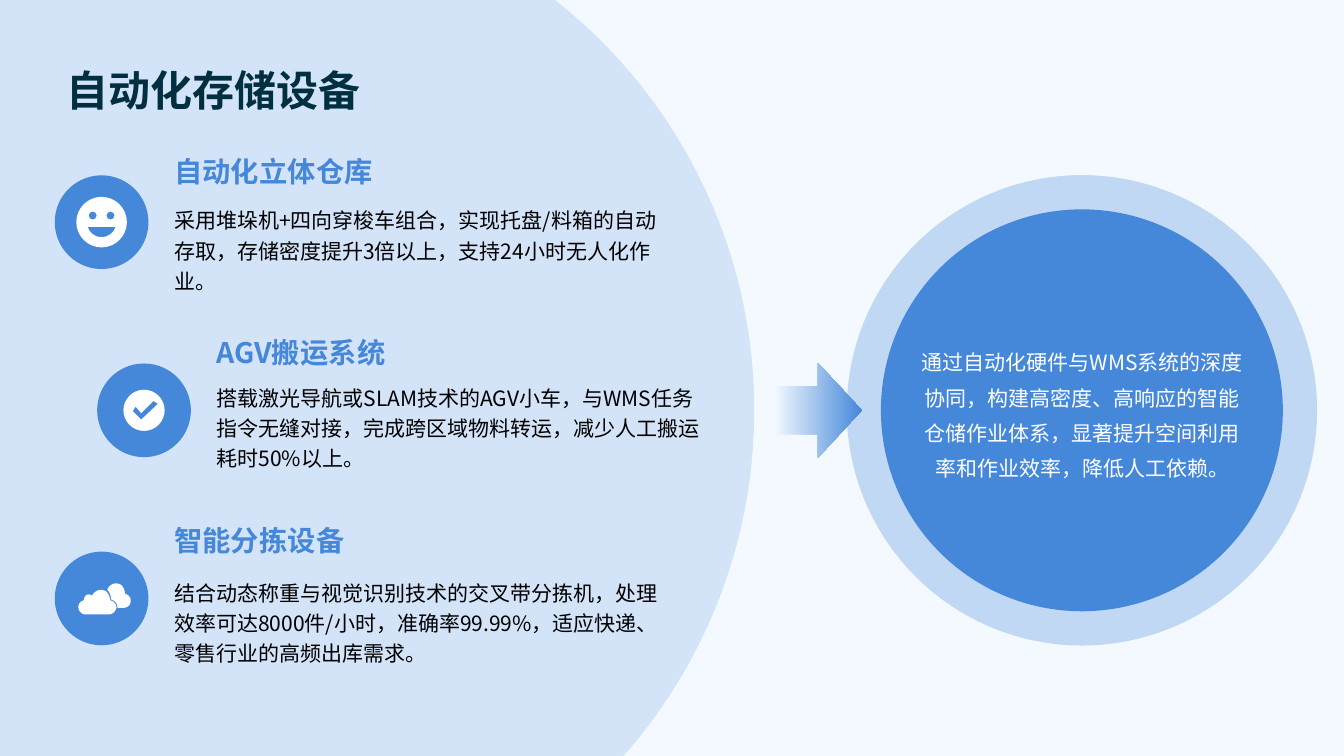
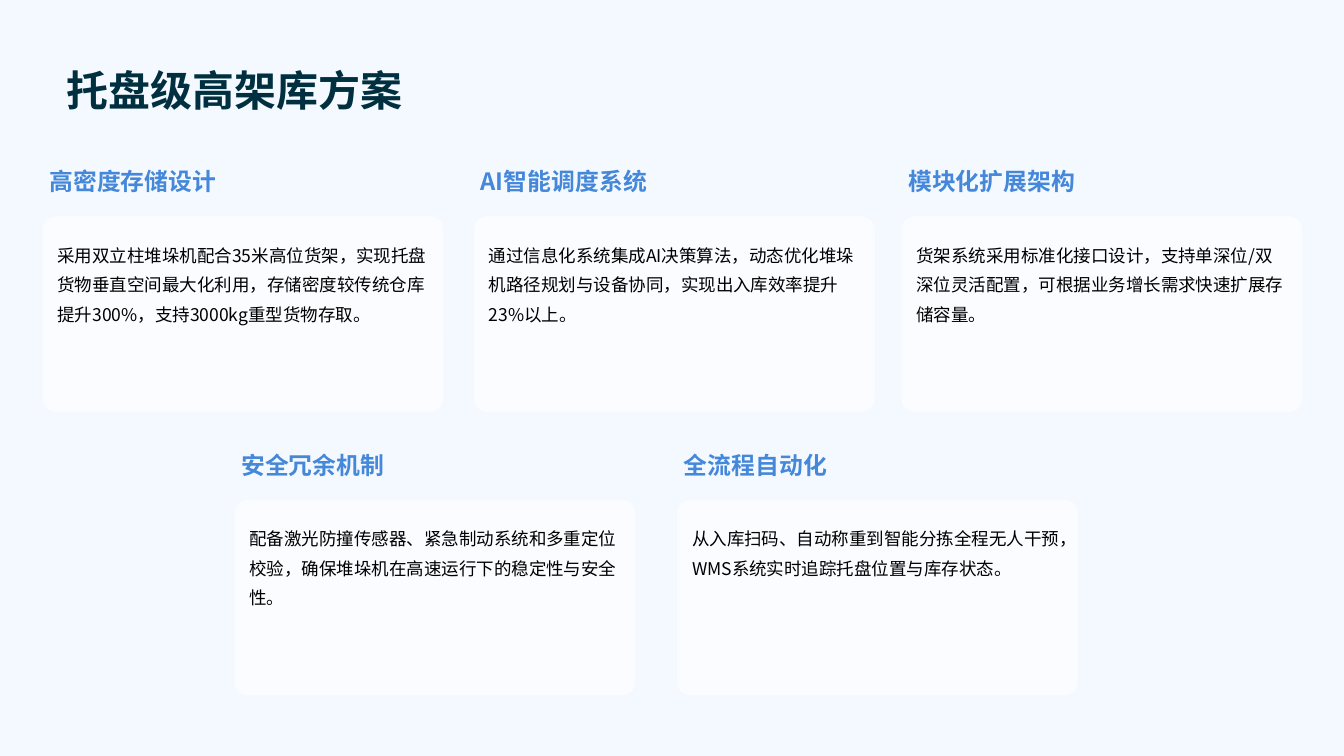
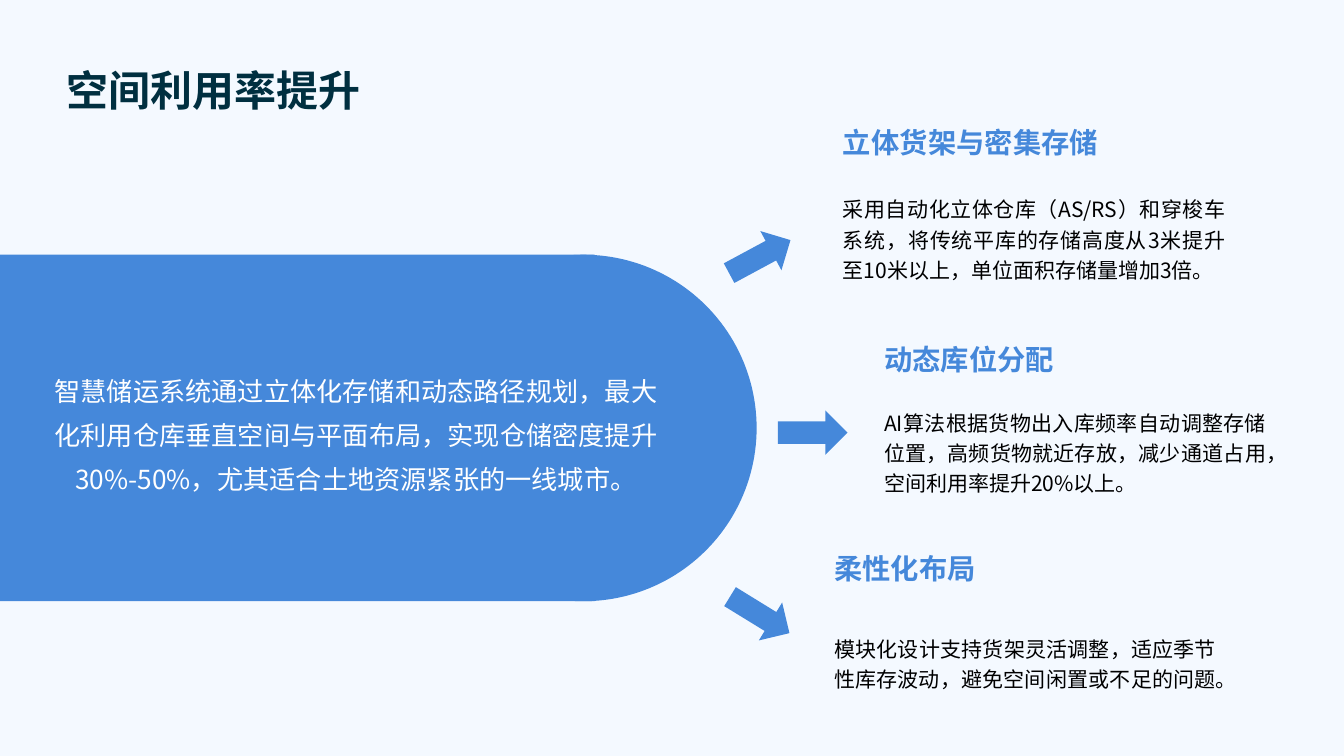
from dataclasses import dataclass

from lxml import etree
from pptx import Presentation
from pptx.dml.color import RGBColor
from pptx.enum.shapes import MSO_SHAPE
from pptx.enum.text import MSO_ANCHOR, PP_ALIGN
from pptx.oxml.ns import qn
from pptx.util import Emu, Pt

CELL = 381000
COLUMNS, ROWS = 32, 18
KAPPA = 0.55
OVAL = MSO_SHAPE.OVAL
ROUNDED = MSO_SHAPE.ROUNDED_RECTANGLE
LEFT_ARROW, RIGHT_ARROW = MSO_SHAPE.LEFT_ARROW, MSO_SHAPE.RIGHT_ARROW
TOP, MIDDLE = MSO_ANCHOR.TOP, MSO_ANCHOR.MIDDLE
LEFT, CENTER, JUSTIFY = PP_ALIGN.LEFT, PP_ALIGN.CENTER, PP_ALIGN.JUSTIFY


@dataclass(frozen=True)
class TextStyle:
    """Look of one kind of text, with insets in grid cells."""
    size: float
    color: str
    bold: bool = False
    line_spacing: float = 1.0
    space_before: float = 0
    align: PP_ALIGN = LEFT
    anchor: MSO_ANCHOR = TOP
    insets: tuple = (0.29, 0.14, 0.29, 0.14)


class Theme:
    """Colours and type styles shared by all slides."""
    font = "Noto Sans CJK SC"
    background, accent, white = "F4F9FF", "4588DA", "FFFFFF"
    black, navy = "000000", "002F40"
    title = TextStyle(30, navy, True, 1.4, anchor=MIDDLE,
                      insets=(0.34, 0.34, 0.14, 0.34))
    heading = TextStyle(20.25, accent, True, 0.77)
    body = TextStyle(15, black, line_spacing=1.2)
    justified = TextStyle(15, black, line_spacing=1.2, align=JUSTIFY, anchor=MIDDLE)
    message = TextStyle(15, white, line_spacing=1.4, align=CENTER, anchor=MIDDLE)
    large_message = TextStyle(18.75, white, line_spacing=1.4, align=CENTER,
                              anchor=MIDDLE)
    card_heading = TextStyle(17, accent, True, space_before=3.8,
                             insets=(0.24, 0.12, 0.24, 0.12))
    card_body = TextStyle(12.5, black, line_spacing=1.4,
                          insets=(0.17, 0.1, 0.17, 0.1))


def cells(*values):
    return [Emu(round(value * CELL)) for value in values]


def ring(center_x, center_y, radius):
    corners = [(1, 0), (0, 1), (-1, 0), (0, -1), (1, 0)]

    def place(x, y):
        return center_x + radius * x, center_y + radius * y

    return [place(1, 0)] + [
        (place(x1 + KAPPA * x2, y1 + KAPPA * y2),
         place(x2 + KAPPA * x1, y2 + KAPPA * y1), place(x2, y2))
        for (x1, y1), (x2, y2) in zip(corners, corners[1:])]


SMILE = [ring(0, 0, 27), ring(-9.5, -7, 4.3), ring(9.5, -7, 4.3),
         [(15, 5), ((-15, 5),), ((-13, 11), (-8, 16), (0, 16)),
          ((8, 16), (13, 11), (15, 5))]]
CHECK = [ring(0, 0, 22),
         [(-3, 10), ((-12, 1),), ((-9, -4),), ((-3, 3),), ((10, -10),), ((15, -7),)]]
CLOUDS = [
    [(9, 2), ((9, 2), (9, -8), (1, -9)), ((-8, -10), (-10, -3), (-10, -3)),
     ((-10, -3), (-12, -5), (-16, -4)), ((-19, -2), (-19, 2), (-19, 2)),
     ((-19, 2), (-25, 3), (-25, 9)), ((-24, 17), (-18, 17), (-18, 17)),
     ((8, 17),), ((8, 17), (14, 17), (16, 10)), ((16, 3), (9, 2), (9, 2))],
    [(25, -5), ((25, -5), (25, -15), (17, -16)), ((8, -17), (6, -9), (6, -9)),
     ((6, -9), (10, -7), (10, 1)), ((13, 2), (17, 4), (17, 10)),
     ((24, 10),), ((24, 10), (30, 10), (31, 4)), ((32, -4), (25, -5), (25, -5))],
]


def bend(shape, contours):
    lines = iter(list(shape._element.iter(qn("a:lnTo"))))
    for _, *segments in contours:
        for segment in segments:
            parts = [next(lines) for _ in segment]
            if len(parts) == 3:
                curve = etree.Element(qn("a:cubicBezTo"))
                parts[0].addprevious(curve)
                for part in parts:
                    curve.append(part[0])
                    part.getparent().remove(part)


class Deck:
    """Builds slides on a grid of 32 by 18 square cells."""

    badge_size = 2.23

    def __init__(self):
        self.presentation = Presentation()
        self.presentation.slide_width, self.presentation.slide_height = cells(
            COLUMNS, ROWS)
        self.slide = None

    def new_slide(self):
        self.slide = self.presentation.slides.add_slide(
            self.presentation.slide_layouts[6])
        fill = self.slide.background.fill
        fill.solid()
        fill.fore_color.rgb = RGBColor.from_string(Theme.background)

    def title(self, content):
        self.text(content, 1.25, 0.7, 29.5, 2.4, Theme.title)

    def paint(self, shape, color, opacity=100):
        shape.shadow.inherit = False
        shape.line.fill.background()
        shape.fill.solid()
        shape.fill.fore_color.rgb = RGBColor.from_string(color)
        if opacity < 100:
            color_element = shape._element.spPr.find(".//" + qn("a:srgbClr"))
            etree.SubElement(color_element, qn("a:alpha")).set(
                "val", str(opacity * 1000))

    def shape(self, kind, left, top, width, height, color=Theme.accent, opacity=100):
        shape = self.slide.shapes.add_shape(kind, *cells(left, top, width, height))
        self.paint(shape, color, opacity)
        return shape

    def panel(self, left, top, width, height, rounding, color, opacity=100):
        panel = self.shape(ROUNDED, left, top, width, height, color, opacity)
        panel.adjustments[0] = rounding

    def circle(self, center_x, center_y, diameter, opacity=100):
        self.shape(OVAL, center_x - diameter / 2, center_y - diameter / 2,
                   diameter, diameter, opacity=opacity)

    def badge(self, center_x, center_y, contours):
        self.circle(center_x, center_y, self.badge_size)
        unit = self.badge_size / 100

        def place(point):
            return cells(center_x + point[0] * unit, center_y + point[1] * unit)

        builder = self.slide.shapes.build_freeform(*place(contours[0][0]))
        for index, (start, *segments) in enumerate(contours):
            if index:
                builder.move_to(*place(start))
            builder.add_line_segments(
                [place(point) for segment in segments for point in segment], close=True)
        icon = builder.convert_to_shape()
        bend(icon, contours)
        self.paint(icon, Theme.white)

    def arrow(self, left, top, rotation):
        self.shape(LEFT_ARROW, left, top, 1.66, 1.06).rotation = rotation

    def fading_arrow(self, left, top, width, height):
        fill = self.shape(RIGHT_ARROW, left, top, width, height).fill
        fill.gradient()
        fill.gradient_angle = 0
        for stop, color in zip(fill.gradient_stops, (Theme.background, Theme.accent)):
            stop.color.rgb = RGBColor.from_string(color)

    def text(self, content, left, top, width, height, style):
        box = self.slide.shapes.add_textbox(*cells(left, top, width, height))
        frame = box.text_frame
        frame.word_wrap = True
        frame.vertical_anchor = style.anchor
        (frame.margin_left, frame.margin_top,
         frame.margin_right, frame.margin_bottom) = cells(*style.insets)
        paragraph = frame.paragraphs[0]
        paragraph.text = content
        paragraph.alignment = style.align
        paragraph.line_spacing = style.line_spacing
        if style.space_before:
            paragraph.space_before = Pt(style.space_before)
        font = paragraph.font
        font.size = Pt(style.size)
        font.bold = style.bold
        font.color.rgb = RGBColor.from_string(style.color)
        font.name = Theme.font
        etree.SubElement(font._element, qn("a:ea")).set("typeface", Theme.font)

    def entry(self, left, heading_top, heading, body_top, body, size, style):
        self.text(body, left, body_top, *size, style)
        self.text(heading, left, heading_top, 9.26, 1.08, Theme.heading)

    def card(self, left, top, heading, body):
        self.panel(left, top, 9.55, 4.66, 0.07, Theme.white, 61)
        self.text(body, left + 0.19, top + 0.38, 9.19, 3.62, Theme.card_body)
        self.text(heading, left - 0.07, top - 1.29, 9.67, 1.46, Theme.card_heading)


def storage_equipment(deck):
    deck.new_slide()
    middle = 9.77
    deck.circle(5.53, middle, 24.86, 19)
    deck.circle(25.76, middle, 11.2, 29)
    deck.fading_arrow(18.43, middle - 1.13, 2.09, 2.26)
    deck.circle(25.76, middle, 9.57)
    deck.text("通过自动化硬件与WMS系统的深度协同，构建高密度、高响应的智能仓储作业体系，"
              "显著提升空间利用率和作业效率，降低人工依赖。",
              21.59, 6.94, 8.35, 5.66, Theme.message)
    devices = [
        (2.42, SMILE, 3.7, "自动化立体仓库", 4.69,
         "采用堆垛机+四向穿梭车组合，实现托盘/料箱的自动存取，"
         "存储密度提升3倍以上，支持24小时无人化作业。"),
        (3.43, CHECK, 8.02, "AGV搬运系统", 8.91,
         "搭载激光导航或SLAM技术的AGV小车，与WMS任务指令无缝对接，"
         "完成跨区域物料转运，减少人工搬运耗时50%以上。"),
        (2.42, CLOUDS, 12.49, "智能分拣设备", 13.56,
         "结合动态称重与视觉识别技术的交叉带分拣机，处理效率可达8000件/小时，"
         "准确率99.99%，适应快递、零售行业的高频出库需求。"),
    ]
    for index, (center_x, icon, *content) in enumerate(devices):
        deck.badge(center_x, middle + (index - 1) * 4.48, icon)
        deck.entry(center_x + 1.44, *content, (12.14, 2.62), Theme.body)
    deck.title("自动化存储设备")


def pallet_warehouse(deck):
    deck.new_slide()
    deck.title("托盘级高架库方案")
    upper, lower = 5.15, 11.9
    cards = [
        (1.01, upper, "高密度存储设计",
         "采用双立柱堆垛机配合35米高位货架，实现托盘货物垂直空间最大化利用，"
         "存储密度较传统仓库提升300%，支持3000kg重型货物存取。"),
        (11.28, upper, "AI智能调度系统",
         "通过信息化系统集成AI决策算法，动态优化堆垛机路径规划与设备协同，"
         "实现出入库效率提升23%以上。"),
        (5.58, lower, "安全冗余机制",
         "配备激光防撞传感器、紧急制动系统和多重定位校验，"
         "确保堆垛机在高速运行下的稳定性与安全性。"),
        (16.12, lower, "全流程自动化",
         "从入库扫码、自动称重到智能分拣全程无人干预，"
         "WMS系统实时追踪托盘位置与库存状态。"),
        (21.46, upper, "模块化扩展架构",
         "货架系统采用标准化接口设计，支持单深位/双深位灵活配置，"
         "可根据业务增长需求快速扩展存储容量。"),
    ]
    for card in cards:
        deck.card(*card)


def space_utilization(deck):
    deck.new_slide()
    height, middle = 8.25, 10.19
    deck.panel(0, middle - height / 2, 14.16, height, 0, Theme.accent)
    deck.circle(13.89, middle, height)
    for left, top, rotation in [(18.52, 9.77, 180), (17.26, 5.58, 151.7),
                                (17.26, 14.11, 211.6)]:
        deck.arrow(left, top, rotation)
    measures = [
        (19.78, 3.01, "立体货架与密集存储", 3.8,
         "采用自动化立体仓库（AS/RS）和穿梭车系统，将传统平库的存储高度"
         "从3米提升至10米以上，单位面积存储量增加3倍。"),
        (19.57, 13.15, "柔性化布局", 13.9,
         "模块化设计支持货架灵活调整，适应季节性库存波动，避免空间闲置或不足的问题。"),
        (20.76, 8.19, "动态库位分配", 8.88,
         "AI算法根据货物出入库频率自动调整存储位置，高频货物就近存放，"
         "减少通道占用，空间利用率提升20%以上。"),
    ]
    for measure in measures:
        deck.entry(*measure, (9.68, 3.7), Theme.justified)
    deck.text("智慧储运系统通过立体化存储和动态路径规划，最大化利用仓库垂直空间与平面布局，"
              "实现仓储密度提升30%-50%，尤其适合土地资源紧张的一线城市。",
              0.94, 6.65, 15.07, 7.1, Theme.large_message)
    deck.title("空间利用率提升")


def main():
    deck = Deck()
    storage_equipment(deck)
    pallet_warehouse(deck)
    space_utilization(deck)
    deck.presentation.save("out.pptx")


if __name__ == "__main__":
    main()
